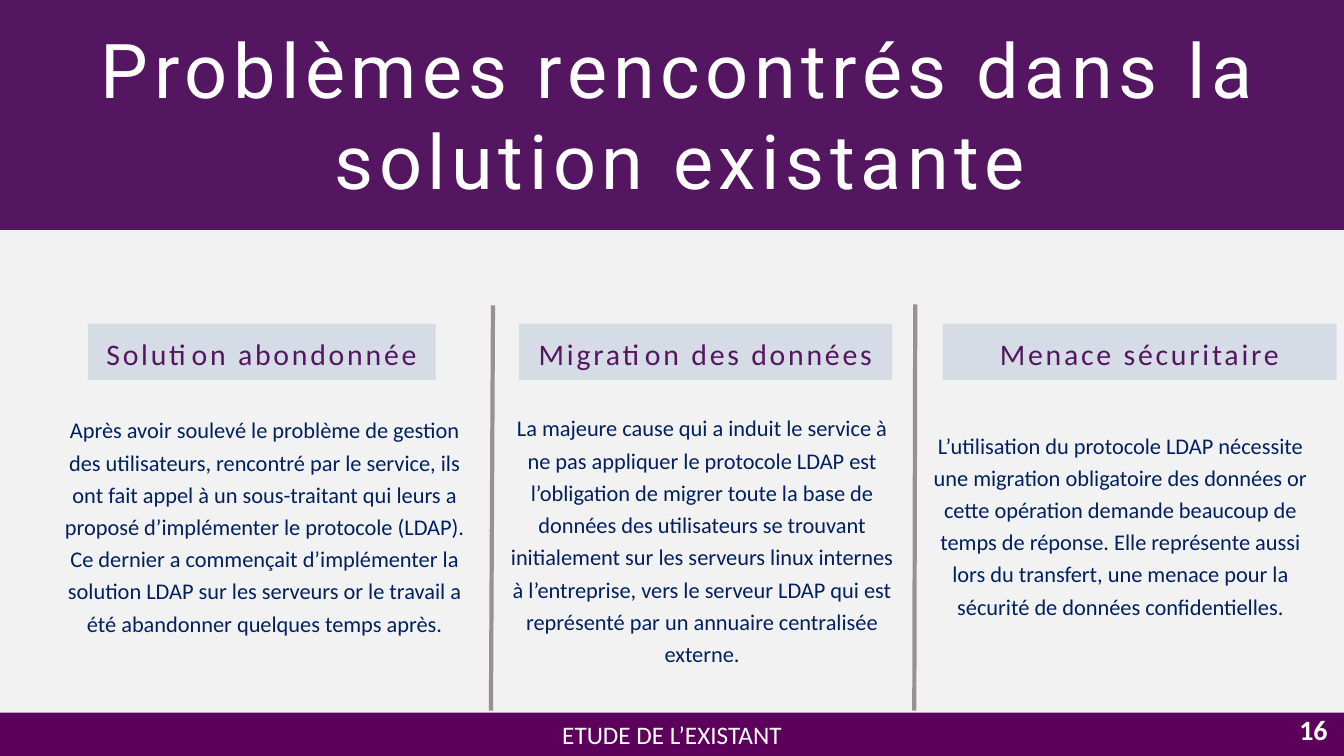
from lxml.etree import SubElement
from pptx import Presentation
from pptx.dml.color import RGBColor
from pptx.enum.shapes import MSO_CONNECTOR, MSO_SHAPE
from pptx.enum.text import MSO_ANCHOR, PP_ALIGN
from pptx.oxml.ns import qn
from pptx.util import Inches, Pt


def color(value):
    return RGBColor.from_string(value)


class SlideBuilder:
    """Draws styled elements on one slide, placed in percent of its size."""

    PURPLE, FOOTER, PALE = "541660", "5C005C", "D6DCE5"
    NAVY, WHITE, GREY, BACKGROUND = "002060", "FFFFFF", "989194", "F2F2F2"

    def __init__(self, presentation):
        self.width = presentation.slide_width
        self.height = presentation.slide_height
        self.slide = presentation.slides.add_slide(presentation.slide_layouts[6])
        fill = self.slide.background.fill
        fill.solid()
        fill.fore_color.rgb = color(self.BACKGROUND)

    def place(self, *shares):
        return [round(share * size / 100)
                for share, size in zip(shares, (self.width, self.height) * 2)]

    def box(self, area, fill):
        shape = self.slide.shapes.add_shape(MSO_SHAPE.RECTANGLE, *self.place(*area))
        shape.shadow.inherit = False
        shape.fill.solid()
        shape.fill.fore_color.rgb = color(fill)
        shape.line.fill.background()
        return shape

    def text_box(self, area):
        return self.slide.shapes.add_textbox(*self.place(*area))

    def set_text(self, shape, text, size, ink, font="Calibri", bold=False, tracking=0,
                 anchor=MSO_ANCHOR.TOP, alignment=PP_ALIGN.CENTER, line_spacing=1.0):
        frame = shape.text_frame
        paragraph = frame.paragraphs[0]
        run = paragraph.add_run()
        run.text = text
        formats = (
            (frame, {"word_wrap": True, "vertical_anchor": anchor}),
            (paragraph, {"alignment": alignment, "line_spacing": line_spacing}),
            (run.font, {"name": font, "size": Pt(size), "bold": bold}),
        )
        for target, values in formats:
            for name, value in values.items():
                setattr(target, name, value)
        run.font.color.rgb = color(ink)
        if tracking:
            run.font._element.set("spc", str(tracking * 100))

    def heading(self, area, text):
        self.set_text(self.box(area, self.PALE), text, 21.3, self.PURPLE,
                      tracking=2, line_spacing=1.2)

    def body(self, area, text):
        self.set_text(self.text_box(area), text, 16, self.NAVY, line_spacing=1.2)

    def divider(self, start, end):
        connector = self.slide.shapes.add_connector(
            MSO_CONNECTOR.STRAIGHT, *self.place(*start, *end))
        connector.line.color.rgb = color(self.GREY)
        connector.line.width = Pt(3)
        SubElement(connector._element.spPr, qn("a:effectLst"))


HEADING_TOP, HEADING_HEIGHT = 42.8, 7.47
PROBLEMS = [
    ("Solution abondonnée", (6.53, 25.88), (3.68, 53.73, 32.03, 32.8),
     "Après avoir soulevé le problème de gestion des utilisateurs, rencontré par le "
     "service, ils ont fait appel à un sous-traitant qui leurs a proposé d’implémenter "
     "le protocole (LDAP). Ce dernier a commençait d’implémenter la solution LDAP sur "
     "les serveurs or le travail a été abandonner quelques temps après."),
    ("Migration des données", (38.63, 27.75), (37.2, 53.47, 30.08, 34.4),
     "La majeure cause qui a induit le service à ne pas appliquer le protocole LDAP est "
     "l’obligation de migrer toute la base de données des utilisateurs se trouvant "
     "initialement sur les serveurs linux internes à l’entreprise, vers le serveur LDAP "
     "qui est représenté par un annuaire centralisée externe."),
    ("Menace sécuritaire", (70.13, 29.33), (68.03, 55.73, 30.68, 28.13),
     "L’utilisation du protocole LDAP nécessite une migration obligatoire des données or "
     "cette opération demande beaucoup de temps de réponse. Elle représente aussi lors "
     "du transfert, une menace pour la sécurité de données confidentielles."),
]
DIVIDERS = [((36.68, 40.4), (36.53, 94)), ((68.1, 40.27), (68.03, 94))]


def main():
    presentation = Presentation()
    presentation.slide_width, presentation.slide_height = Inches(13.33), Inches(7.5)
    builder = SlideBuilder(presentation)

    builder.box((0, 0, 100, 30.4), builder.PURPLE)
    footer = builder.box((0, 94.27, 100, 5.73), builder.FOOTER)
    builder.set_text(footer, "ETUDE DE L’EXISTANT", 18, builder.WHITE,
                     anchor=MSO_ANCHOR.MIDDLE)
    title = builder.text_box((5.18, -3.6, 90.9, 31.33))
    builder.set_text(title, "Problèmes rencontrés dans la solution existante", 54,
                     builder.WHITE, font="Roboto", tracking=4, anchor=MSO_ANCHOR.BOTTOM)

    for name, (left, width), body_area, explanation in PROBLEMS:
        builder.body(body_area, explanation)
        builder.heading((left, HEADING_TOP, width, HEADING_HEIGHT), name)

    page_number = builder.text_box((77.03, 93.87, 22.5, 5.33))
    builder.set_text(page_number, "16", 20, builder.WHITE, bold=True,
                     anchor=MSO_ANCHOR.MIDDLE, alignment=PP_ALIGN.RIGHT)
    for start, end in DIVIDERS:
        builder.divider(start, end)

    presentation.save("out.pptx")


if __name__ == "__main__":
    main()
